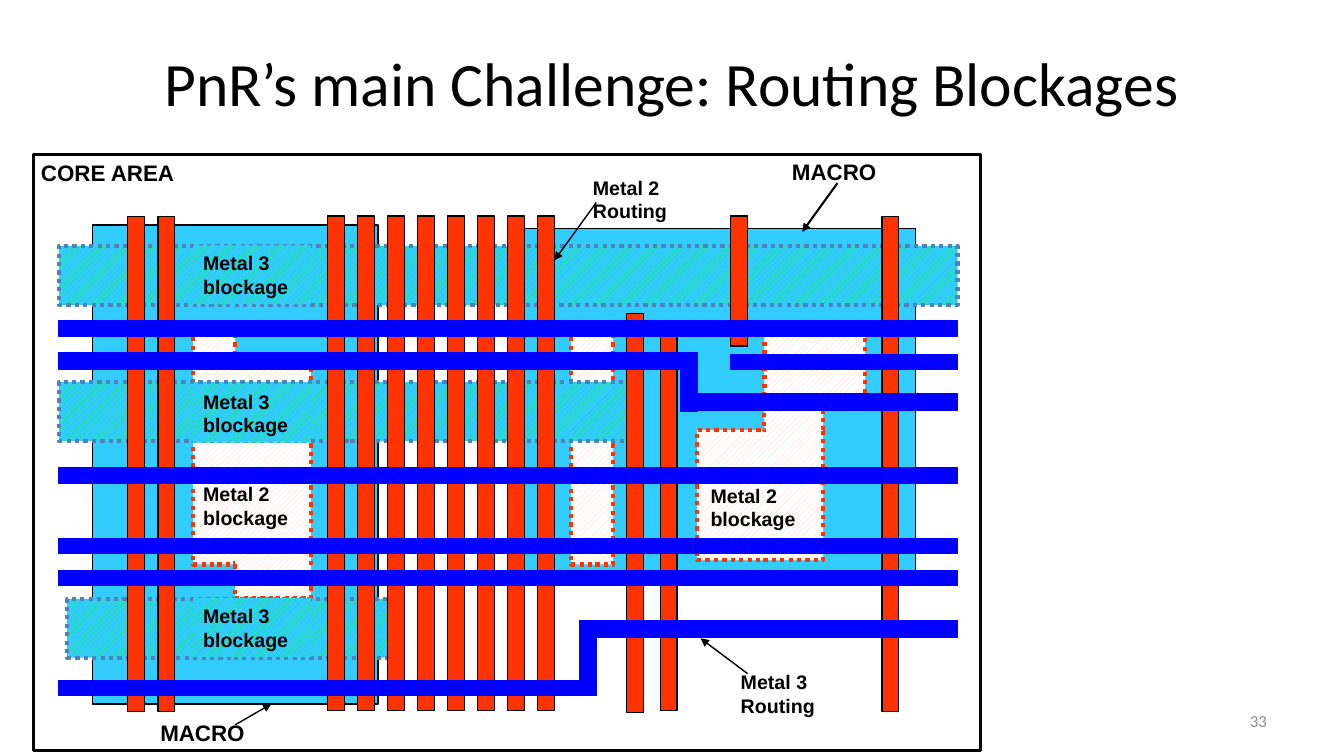
from dataclasses import dataclass

from lxml.etree import SubElement
from pptx import Presentation
from pptx.dml.color import RGBColor
from pptx.enum.dml import MSO_LINE, MSO_PATTERN
from pptx.enum.shapes import MSO_CONNECTOR, MSO_SHAPE
from pptx.enum.text import MSO_ANCHOR, PP_ALIGN
from pptx.oxml.ns import qn
from pptx.util import Inches, Pt

COLUMNS, ROWS = 160, 90
SLIDE_WIDTH, SLIDE_HEIGHT = Inches(13.33), Inches(7.5)


@dataclass(frozen=True)
class Theme:
    """Colours, type sizes and fonts of the slide."""
    black: str = "000000"
    white: str = "FFFFFF"
    grey: str = "8C8C8C"
    macro: str = "33CCFF"
    metal_2: str = "FF3300"
    metal_2_hatch: str = "FFCCCC"
    metal_3: str = "0000FF"
    metal_3_hatch: str = "00FF00"
    metal_3_border: str = "4F81BD"
    heading_font: str = "Calibri"
    label_font: str = "Arial"
    title_size: int = 44
    area_size: int = 16
    label_size: int = 14
    number_size: int = 12


@dataclass(frozen=True)
class Box:
    """A region measured in columns and rows of the slide grid."""
    column: float
    row: float
    width: float
    height: float

    def inside(self, column, row, width=0, height=0):
        """Return a box placed relative to this one."""
        return Box(self.column + column, self.row + row, width, height)

    def lengths(self):
        """Return left, top, width and height in slide units."""
        across, down = SLIDE_WIDTH / COLUMNS, SLIDE_HEIGHT / ROWS
        return (round(self.column * across), round(self.row * down),
                round(self.width * across), round(self.height * down))


THEME = Theme()
WIRE = 2
TRACK = 1.8
LABEL_WIDTH, LABEL_HEIGHT = 14, 6.8
AREA_LABEL_HEIGHT = 4.4

OUTLINE = {"color": THEME.black, "width": 1}
MACRO = {"fill": THEME.macro, "line": OUTLINE}
METAL_2_WIRE = {"fill": THEME.metal_2, "line": OUTLINE}
METAL_3_WIRE = {"fill": THEME.metal_3, "line": {"color": THEME.metal_3, "width": 1}}
METAL_2_PATCH = {"hatch": (THEME.metal_2_hatch, THEME.white)}
METAL_3_PATCH = {"hatch": (THEME.metal_3_hatch, THEME.macro)}
METAL_2_BLOCKAGE = METAL_2_PATCH | {
    "line": {"color": THEME.metal_2, "width": 3, "dash_style": MSO_LINE.ROUND_DOT}}
METAL_3_BLOCKAGE = METAL_3_PATCH | {
    "line": {"color": THEME.metal_3_border, "width": 3, "dash_style": MSO_LINE.ROUND_DOT}}
CORE_BORDER = {"line": {"color": THEME.black, "width": 2.25}}

LABEL = {"name": THEME.label_font, "size": Pt(THEME.label_size), "bold": True}
AREA_LABEL = LABEL | {"size": Pt(THEME.area_size)}
TITLE = {"name": THEME.heading_font, "size": Pt(THEME.title_size)}
NUMBER = {"name": THEME.heading_font, "size": Pt(THEME.number_size)}


def set_attributes(target, values):
    """Set every named value on the target."""
    for name, value in values.items():
        setattr(target, name, value)


def format_line(line, color, width, **extra):
    """Give a line its colour, width and optional dash."""
    line.color.rgb = RGBColor.from_string(color)
    set_attributes(line, {"width": Pt(width)} | extra)


def add_rectangle(slide, box, fill=None, hatch=None, line=None):
    """Draw a plain, hatched or hollow rectangle."""
    shape = slide.shapes.add_shape(MSO_SHAPE.RECTANGLE, *box.lengths())
    shape.shadow.inherit = False
    if hatch:
        shape.fill.patterned()
        shape.fill.pattern = MSO_PATTERN.WIDE_UPWARD_DIAGONAL
        shape.fill.fore_color.rgb, shape.fill.back_color.rgb = map(RGBColor.from_string, hatch)
    elif fill:
        shape.fill.solid()
        shape.fill.fore_color.rgb = RGBColor.from_string(fill)
    else:
        shape.fill.background()
    if line:
        format_line(shape.line, **line)
    else:
        shape.line.fill.background()
    return shape


def write_text(shape, text, font, color=THEME.black, align=PP_ALIGN.LEFT,
               anchor=MSO_ANCHOR.MIDDLE, wrap=True):
    """Write one formatted paragraph into a shape."""
    frame = shape.text_frame
    set_attributes(frame, {
        "word_wrap": wrap, "vertical_anchor": anchor,
        "margin_left": Inches(0.1), "margin_right": Inches(0.1),
        "margin_top": Inches(0.05), "margin_bottom": Inches(0.05)})
    paragraph = frame.paragraphs[0]
    paragraph.alignment = align
    run = paragraph.add_run()
    run.text = text
    set_attributes(run.font, font)
    run.font.color.rgb = RGBColor.from_string(color)


def add_label(slide, box, text, font, **layout):
    """Place a text box."""
    write_text(slide.shapes.add_textbox(*box.lengths()), text, font, **layout)


def add_arrow(slide, core, start, end, width=1):
    """Draw an arrow between two grid points of the core area."""
    points = [length for point in (start, end) for length in core.inside(*point).lengths()[:2]]
    arrow = slide.shapes.add_connector(MSO_CONNECTOR.STRAIGHT, *points)
    format_line(arrow.line, THEME.black, width)
    SubElement(arrow.line._get_or_add_ln(), qn("a:tailEnd"), type="triangle")
    SubElement(arrow._element.spPr, qn("a:effectLst"))


def add_rectangles(slide, core, places, style):
    """Draw rectangles of one style inside the core area."""
    for place in places:
        add_rectangle(slide, core.inside(*place), **style)


def draw_macros(slide, core):
    """Draw both macros and point to the left one."""
    add_rectangles(slide, core, [(7, 8.4, 34, 57), (57, 8.8, 48, 42)], MACRO)
    add_label(slide, core.inside(13.9, 66.6, 12.5, AREA_LABEL_HEIGHT), "MACRO",
              AREA_LABEL, wrap=False)
    add_arrow(slide, core, (24, 67.9), (28.3, 65.4))


def draw_metal_2_blockages(slide, core):
    """Draw the hatched metal 2 areas and their labels."""
    left = [(64, 20.8, 5, 28), (19, 20.8, 5, 28), (24, 24.8, 9, 28)]
    right = [(79, 32.8, 15, 15.5), (87, 20.8, 12, 9), (87, 29.8, 7, 3)]
    add_rectangles(slide, core, left, METAL_2_BLOCKAGE)
    add_rectangles(slide, core, [(22.3, 25, 6, 23.3)], METAL_2_PATCH)
    add_rectangles(slide, core, right, METAL_2_BLOCKAGE)
    add_rectangles(slide, core, [(87.2, 27.8, 6.5, 8.8)], METAL_2_PATCH)
    for column, row in [(19, 38.4), (79.4, 38.6)]:
        add_label(slide, core.inside(column, row, LABEL_WIDTH, LABEL_HEIGHT),
                  "Metal 2 blockage", LABEL)


def draw_metal_3_blockages(slide, core):
    """Draw the hatched metal 3 bands, each with its label."""
    bands = [(4, 52.9, 39, 7), (3, 27.1, 69, 7), (3, 10.9, 107, 7)]
    add_rectangles(slide, core, bands, METAL_3_BLOCKAGE)
    for row in (52.8, 10.8, 27.3):
        patch = add_rectangle(slide, core.inside(19, row, LABEL_WIDTH, 7), **METAL_3_PATCH)
        write_text(patch, "Metal 3 blockage", LABEL)


def draw_metal_2_routing(slide, core):
    """Draw the vertical wires with their callout."""
    add_label(slide, core.inside(65.4, 1.9, LABEL_WIDTH, LABEL_HEIGHT), "Metal 2 Routing", LABEL)
    add_arrow(slide, core, (67, 5.7), (62, 12.6))
    bus = [(35 + index * 25 / 7, 7.3, WIRE, 58.9) for index in range(8)]
    full = [(column, 7.4, WIRE, 58.9) for column in (11.2, 14.8, 101)]
    partial = [(70.6, 18.9, WIRE, 47.5), (74.6, 20.7, WIRE, 45.5), (83, 7.3, WIRE, 15.5)]
    add_rectangles(slide, core, bus + full + partial, METAL_2_WIRE)


def draw_metal_3_routing(slide, core):
    """Draw the horizontal wires with their callout."""
    add_label(slide, core.inside(83, 60.8, LABEL_WIDTH, LABEL_HEIGHT), "Metal 3 Routing", LABEL)
    add_arrow(slide, core, (85, 61.8), (79.4, 57.6))
    straight = [(3, row, 107, TRACK) for row in (19.8, 37.3, 45.7, 49.5)]
    lower_jog = [(3, 62.6, 64, TRACK), (67, 55.5, 43, WIRE), (65, 55.5, WIRE, 8.9)]
    upper_jog = [(3, 23.6, 76, WIRE), (79, 28.5, 31, WIRE), (77, 23.6, WIRE, 7)]
    add_rectangles(slide, core, straight + lower_jog + upper_jog + [(83, 23.8, 27, TRACK)],
                   METAL_3_WIRE)


def draw_core_frame(slide, core):
    """Draw the core border, its name and the right macro's callout."""
    add_label(slide, core.inside(89.1, -0.2, 12.5, AREA_LABEL_HEIGHT), "MACRO",
              AREA_LABEL, wrap=False)
    add_arrow(slide, core, (95.7, 3.4), (91.5, 9.2), width=1.5)
    add_rectangle(slide, core, **CORE_BORDER)
    add_label(slide, core.inside(-0.3, 0, 18.4, AREA_LABEL_HEIGHT), "CORE AREA",
              AREA_LABEL, wrap=False)


def build_blockage_slide(slide, page):
    """Place the slide number, the title and the core area on the page."""
    add_label(slide, page.inside(114.7, 83.4, 37.3, 4.8), "33", NUMBER,
              color=THEME.grey, align=PP_ALIGN.RIGHT)
    add_label(slide, page.inside(11, 4.8, 138, 17.4), "PnR’s main Challenge: Routing Blockages",
              TITLE, align=PP_ALIGN.CENTER, anchor=MSO_ANCHOR.TOP)
    core = page.inside(4, 18.4, 112.7, 71)
    for draw in (draw_macros, draw_metal_2_blockages, draw_metal_3_blockages,
                 draw_metal_2_routing, draw_metal_3_routing, draw_core_frame):
        draw(slide, core)


def main():
    """Build and save the presentation."""
    presentation = Presentation()
    set_attributes(presentation, {"slide_width": SLIDE_WIDTH, "slide_height": SLIDE_HEIGHT})
    slide = presentation.slides.add_slide(presentation.slide_layouts[6])
    build_blockage_slide(slide, Box(0, 0, COLUMNS, ROWS))
    presentation.save("out.pptx")


if __name__ == "__main__":
    main()
